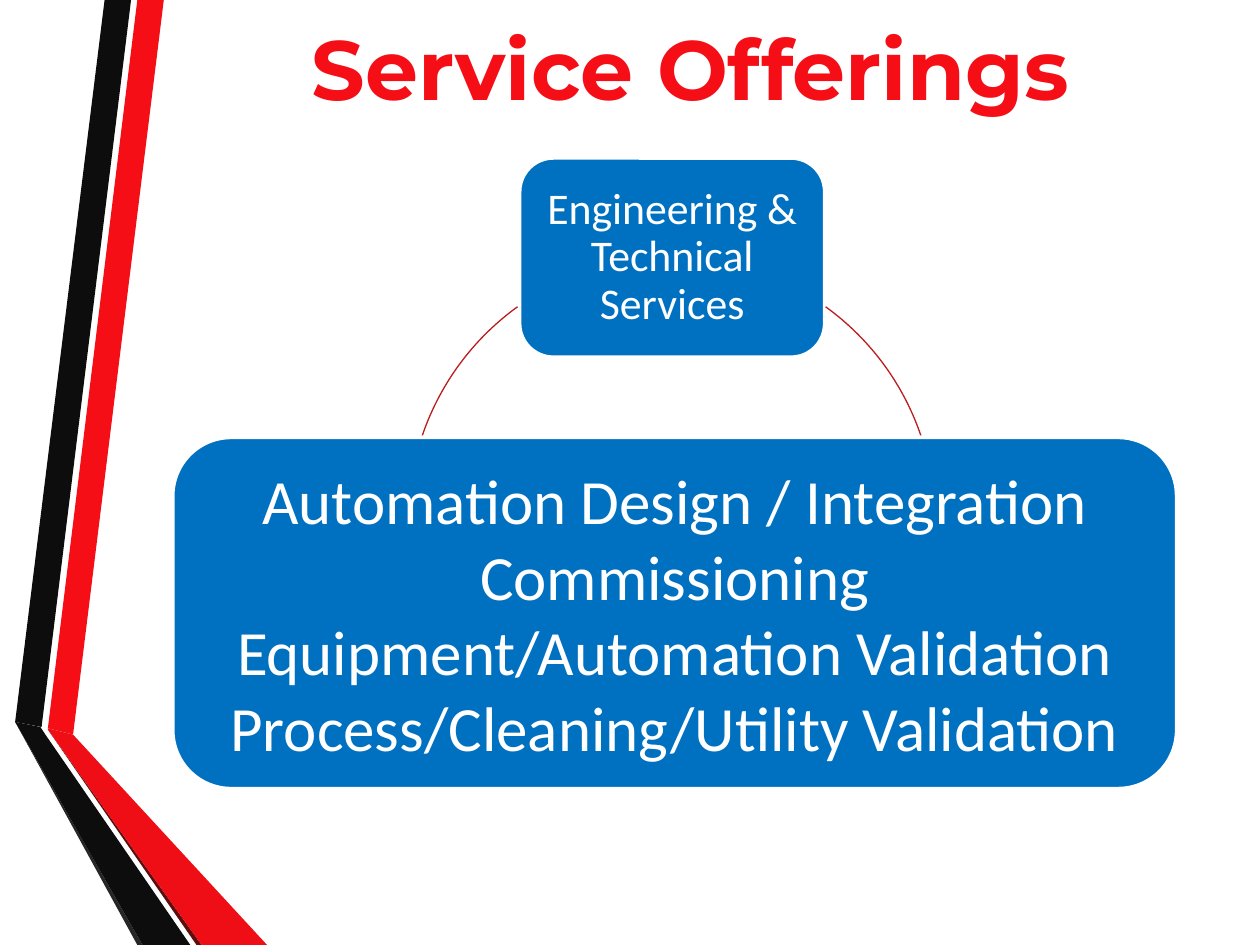
from pptx import Presentation
from pptx.dml.color import RGBColor
from pptx.enum.shapes import MSO_SHAPE
from pptx.enum.text import MSO_ANCHOR, PP_ALIGN
from pptx.util import Inches, Pt

SLIDE_WIDTH, SLIDE_HEIGHT = Inches(10), Inches(7.5)
CELL = SLIDE_WIDTH // 100  # the slide is a grid of 100 columns by 75 rows
FINE_CELL = CELL // 10

WHITE, RED, BLACK, BLUE, ARC_RED = "FFFFFF", "F60E16", "0D0D0D", "0070C0", "BC1C1C"

# Outlines in tenths of a grid cell
RIBBONS = [
    (RED, [(38, 578), (58, 583), (130, 0), (109, 0)]),
    (BLACK, [(104, 0), (83, 0), (12, 573), (33, 577)]),
    ("262626", [(12, 573), (109, 750), (113, 750)]),
    ("5E0E0E", [(38, 579), (156, 750), (160, 750)]),
    ("EF0E15", [(38, 579), (160, 750), (212, 750), (58, 583), (38, 578)]),
    (BLACK, [(151, 750), (36, 583), (32, 577), (12, 573), (113, 750)]),
]
SERVICES = [
    "Automation Design / Integration",
    "Commissioning",
    "Equipment/Automation Validation",
    "Process/Cleaning/Utility Validation",
]
CYCLE_CIRCLE = (32.4, 20.4, 41.8, 41.8)
ARC_ANGLES = [(305.8, 6.6), (173.4, 234.2)]


def color(hex_string):
    return RGBColor.from_string(hex_string)


def on_grid(*cells):
    return [round(value * CELL) for value in cells]


def add_ribbon(slide, fill, points):
    builder = slide.shapes.build_freeform(*points[0], scale=FINE_CELL)
    builder.add_line_segments(points[1:], close=True)
    shape = builder.convert_to_shape()
    shape.shadow.inherit = False
    shape.fill.solid()
    shape.fill.fore_color.rgb = color(fill)
    shape.line.fill.background()


def write_text(shape, lines, size, font="Calibri", text_color=WHITE, bold=False):
    frame = shape.text_frame
    frame.word_wrap = True
    frame.vertical_anchor = MSO_ANCHOR.MIDDLE
    frame.text = "\n".join(lines)
    for paragraph in frame.paragraphs:
        paragraph.alignment = PP_ALIGN.CENTER
        paragraph.font.name = font
        paragraph.font.size = Pt(size)
        paragraph.font.bold = bold
        paragraph.font.color.rgb = color(text_color)
    return frame


def add_title(slide, text):
    box = slide.shapes.add_textbox(*on_grid(13.7, 1.9, 82.2, 6.8))
    write_text(box, [text], 48, "Montserrat", RED, bold=True)


def add_card(slide, area, lines, size, line_width):
    card = slide.shapes.add_shape(MSO_SHAPE.ROUNDED_RECTANGLE, *on_grid(*area))
    card.shadow.inherit = False
    card.fill.solid()
    card.fill.fore_color.rgb = color(BLUE)
    card.line.color.rgb = color(WHITE)
    card.line.width = Pt(line_width)
    return write_text(card, lines, size)


def add_cycle_arc(slide, start, end):
    """Draw part of the cycle circle; angles are in degrees, clockwise from the right."""
    arc = slide.shapes.add_shape(MSO_SHAPE.ARC, *on_grid(*CYCLE_CIRCLE))
    arc.shadow.inherit = False
    arc.fill.background()
    arc.line.color.rgb = color(ARC_RED)
    arc.line.width = Pt(0.75)
    for index, angle in enumerate((start, end)):
        arc.adjustments[index] = angle * 0.6  # 60000 per degree, in units of 100000


def main():
    presentation = Presentation()
    presentation.slide_width, presentation.slide_height = SLIDE_WIDTH, SLIDE_HEIGHT
    slide = presentation.slides.add_slide(presentation.slide_layouts[6])

    for fill, points in RIBBONS:
        add_ribbon(slide, fill, points)
    add_title(slide, "Service Offerings")

    heading = add_card(slide, (41.3, 12.6, 24.1, 15.7),
                       ["Engineering & Technical Services"], 25, 1.25)
    heading.paragraphs[0].line_spacing = 0.9
    for start, end in ARC_ANGLES:
        add_cycle_arc(slide, start, end)
    add_card(slide, (13.7, 34.7, 79.7, 27.9), SERVICES, 36, 2.25)

    presentation.save("out.pptx")


if __name__ == "__main__":
    main()
